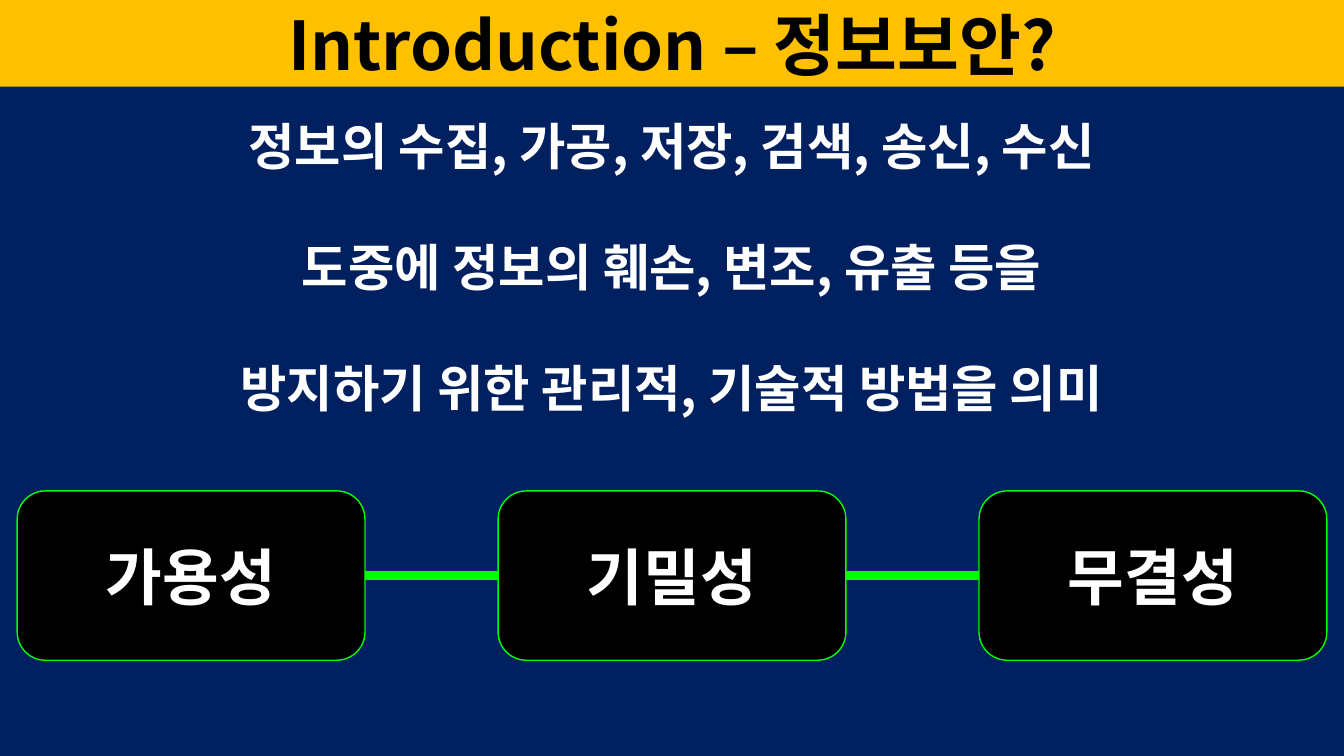
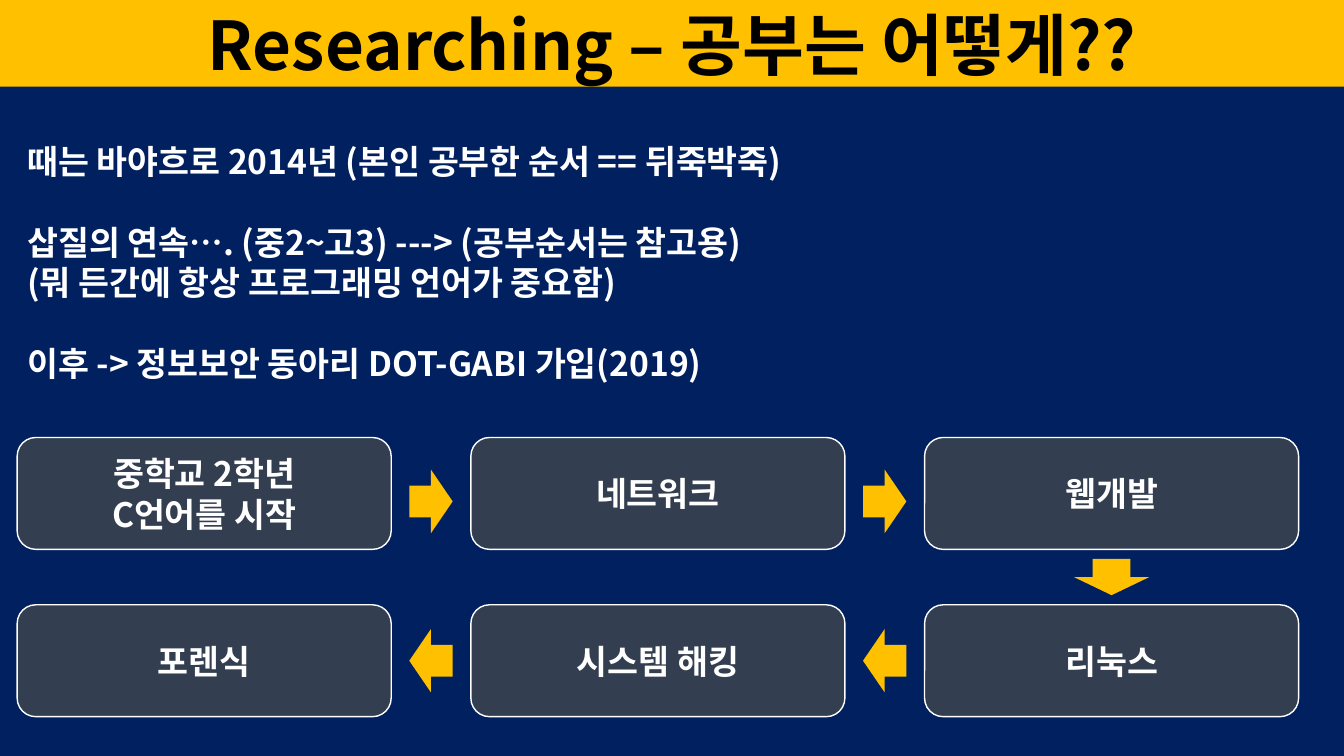
"""Build two slides that introduce information security and a study path."""
from lxml import etree
from pptx import Presentation
from pptx.dml.color import RGBColor
from pptx.enum.shapes import MSO_CONNECTOR, MSO_SHAPE
from pptx.enum.text import MSO_ANCHOR, MSO_AUTO_SIZE, PP_ALIGN
from pptx.oxml.ns import qn
from pptx.util import Inches, Pt

NAVY = RGBColor(0x00, 0x20, 0x60)
GOLD = RGBColor(0xFF, 0xC0, 0x00)
GREEN = RGBColor(0x00, 0xFF, 0x00)
SLATE = RGBColor(0x33, 0x3F, 0x50)
BLACK = RGBColor(0x00, 0x00, 0x00)
WHITE = RGBColor(0xFF, 0xFF, 0xFF)
FONT = "Noto Sans CJK KR"
LEFT, CENTER = PP_ALIGN.LEFT, PP_ALIGN.CENTER
TOP, MIDDLE = MSO_ANCHOR.TOP, MSO_ANCHOR.MIDDLE
ROUND = MSO_SHAPE.ROUNDED_RECTANGLE
RIGHT_ARROW, LEFT_ARROW = MSO_SHAPE.RIGHT_ARROW, MSO_SHAPE.LEFT_ARROW
DOWN_ARROW = MSO_SHAPE.DOWN_ARROW
WIDTH, HEIGHT, MARGIN = 13.33, 7.5, 0.17

INTRO = "Introduction – 정보보안?"
MEANING = [
    ("정보의 수집, 가공, 저장, 검색, 송신, 수신", 0),
    ("도중에 정보의 훼손, 변조, 유출 등을", 43.2),
    ("방지하기 위한 관리적, 기술적 방법을 의미", 43.2),
]
GOALS = ["가용성", "기밀성", "무결성"]

STUDY = "Researching – 공부는 어떻게??"
STORY = [
    ("때는 바야흐로 2014년 (본인 공부한 순서 == 뒤죽박죽)", 0),
    ("삽질의 연속…. (중2~고3) ---> (공부순서는 참고용)", 28.8),
    ("(뭐 든간에 항상 프로그래밍 언어가 중요함)", 0),
    ("이후 -> 정보보안 동아리 DOT-GABI 가입(2019)", 28.8),
]
STEPS = [
    (4.34, 4.66, RIGHT_ARROW, [["중학교 2학년", "C언어를 시작"], ["네트워크"], ["웹개발"]]),
    (6, 6.24, LEFT_ARROW, [["포렌식"], ["시스템 해킹"], ["리눅스"]]),
]


def write(shape, lines, size, color, align=CENTER, anchor=MIDDLE):
    """Fill a shape with (text, space before) lines."""
    frame = shape.text_frame
    frame.word_wrap = True
    frame.auto_size = MSO_AUTO_SIZE.NONE
    frame.vertical_anchor = anchor
    for i, (text, gap) in enumerate(lines):
        para = frame.paragraphs[0] if i == 0 else frame.add_paragraph()
        props = para._p.get_or_add_pPr()
        props.set("marL", "0")
        props.set("indent", "0")
        etree.SubElement(props, qn("a:buNone"))
        para.alignment = align
        para.space_before = Pt(gap)
        run = para.add_run()
        run.text = text
        font = run.font
        font.name, font.size, font.bold = FONT, Pt(size), True
        font.color.rgb = color
        etree.SubElement(run._r.get_or_add_rPr(), qn("a:ea"), typeface=FONT)


def place(shape, left, top, width, height):
    """Set the box of a shape in inches."""
    shape.left, shape.top = Inches(left), Inches(top)
    shape.width, shape.height = Inches(width), Inches(height)


def add_page(deck, title, lines, box, size, align):
    """Add a slide with its title band and body text."""
    slide = deck.slides.add_slide(deck.slide_layouts[1])
    band = slide.shapes.title
    place(band, 0, 0, WIDTH, 0.86)
    band.fill.solid()
    band.fill.fore_color.rgb = GOLD
    write(band, [(title, 0)], 48, BLACK)
    body = slide.placeholders[1]
    place(body, *box)
    write(body, lines, size, WHITE, align, TOP)
    return slide


def add_block(slide, kind, box, fill, line=None):
    """Add a flat preset shape."""
    shape = slide.shapes.add_shape(kind, *map(Inches, box))
    shape.shadow.inherit = False
    shape.fill.solid()
    shape.fill.fore_color.rgb = fill
    if line is None:
        shape.line.fill.background()
    else:
        shape.line.color.rgb = line
        shape.line.width = Pt(1)
    return shape


def add_link(slide, start, end):
    """Join two boxes side to side with a thick line."""
    link = slide.shapes.add_connector(MSO_CONNECTOR.STRAIGHT, 0, 0, 0, 0)
    link.begin_connect(start, 3)
    link.end_connect(end, 1)
    link.line.color.rgb = GREEN
    link.line.width = Pt(6)
    etree.SubElement(link._element.spPr, qn("a:effectLst"))


def add_goals(slide):
    """Draw the three linked goals."""
    boxes = []
    for i, goal in enumerate(GOALS):
        box = add_block(slide, ROUND, (MARGIN + i * 4.77, 4.87, 3.45, 1.68), BLACK, GREEN)
        write(box, [(goal, 0)], 44, WHITE)
        boxes.append(box)
    for start, end in zip(boxes, boxes[1:]):
        add_link(slide, start, end)


def add_steps(slide):
    """Draw the study steps and the arrows between them."""
    wide, high, pitch = 3.71, 1.11, 4.5
    for top, tip, arrow, row in STEPS:
        for i, lines in enumerate(row):
            left = MARGIN + i * pitch
            box = add_block(slide, ROUND, (left, top, wide, high), SLATE, WHITE)
            write(box, [(text, 0) for text in lines], 24, WHITE)
            if i:
                mid = left - (pitch - wide) / 2
                add_block(slide, arrow, (mid - 0.215, tip, 0.43, 0.63), GOLD)
    mid = MARGIN + 2 * pitch + wide / 2
    turn = (STEPS[0][0] + high + STEPS[1][0]) / 2
    add_block(slide, DOWN_ARROW, (mid - 0.375, turn - 0.18, 0.75, 0.36), GOLD)


def main():
    """Build and save the deck."""
    deck = Presentation()
    deck.slide_width, deck.slide_height = Inches(WIDTH), Inches(HEIGHT)
    back = deck.slide_master.background.fill
    back.solid()
    back.fore_color.rgb = NAVY
    add_goals(add_page(deck, INTRO, MEANING, (1.7, 1.09, 9.92, 3.13), 36, CENTER))
    add_steps(add_page(deck, STUDY, STORY, (MARGIN, 1.35, 10.21, 2.52), 24, LEFT))
    deck.save("out.pptx")


if __name__ == "__main__":
    main()
